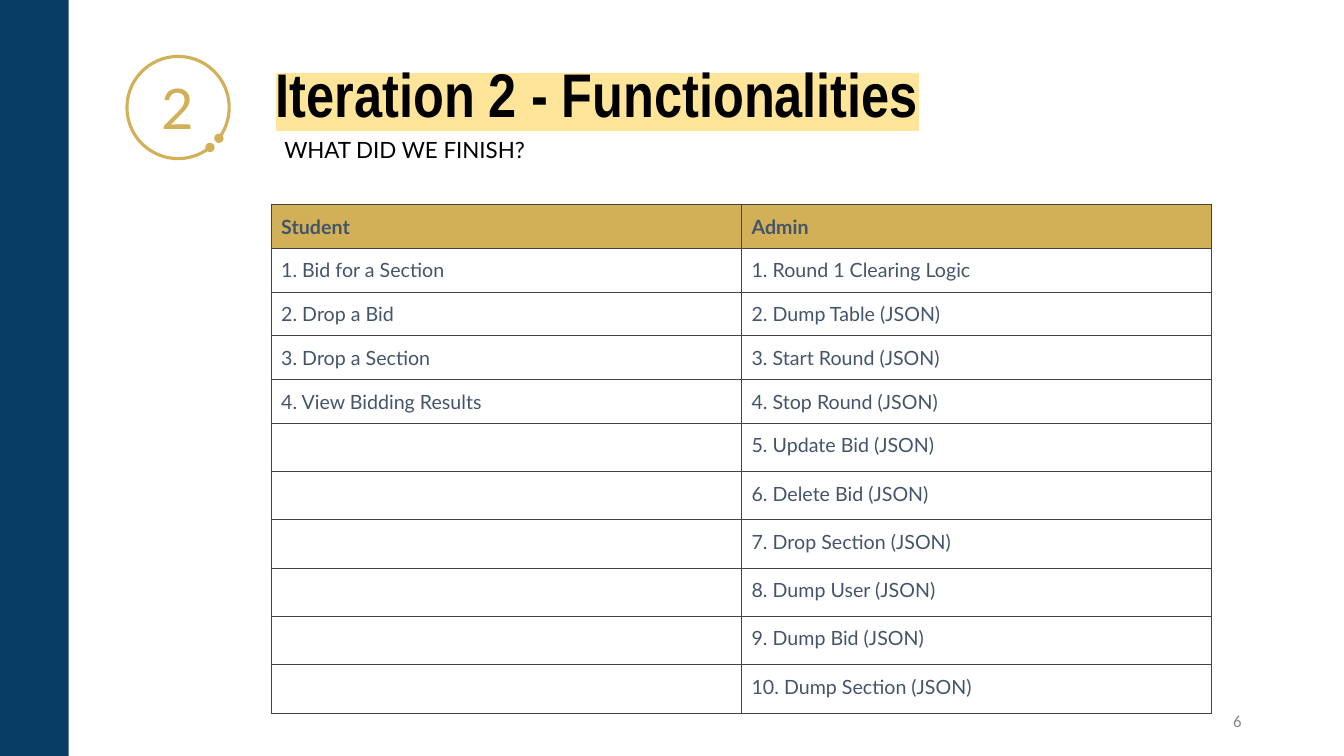
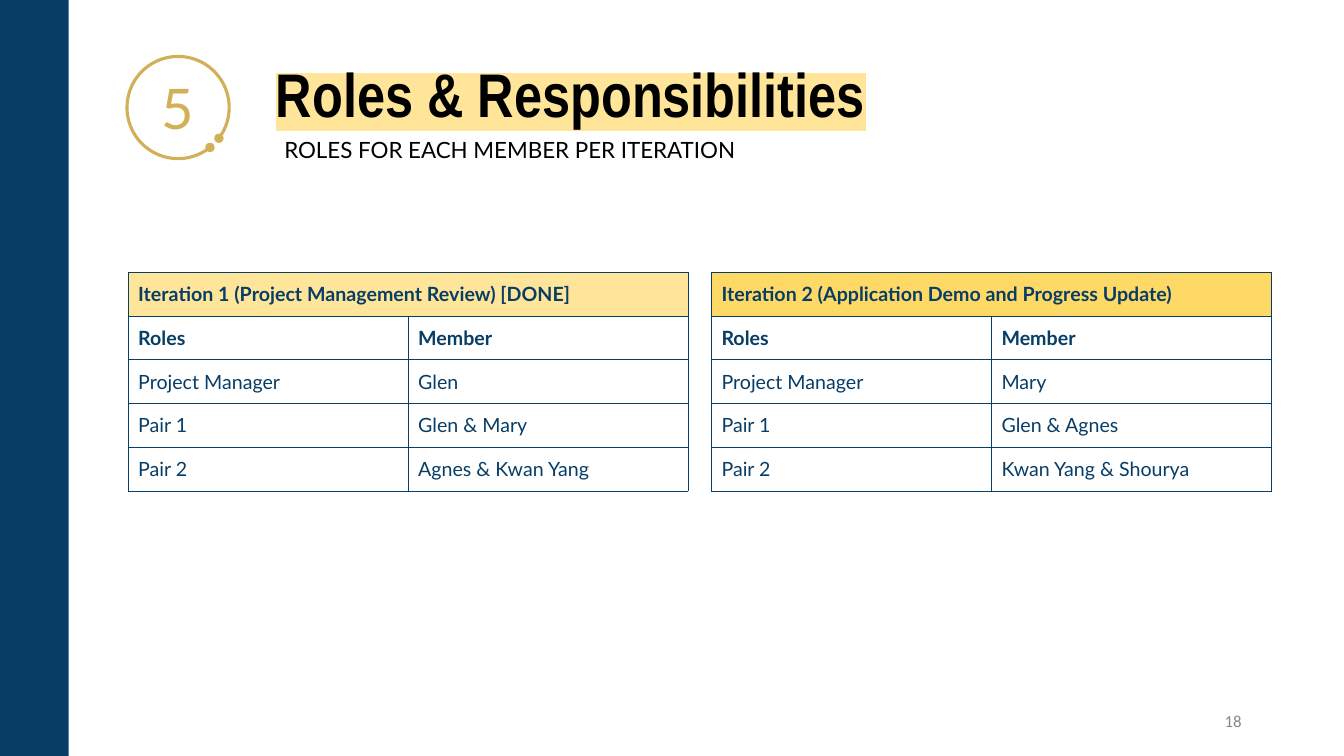
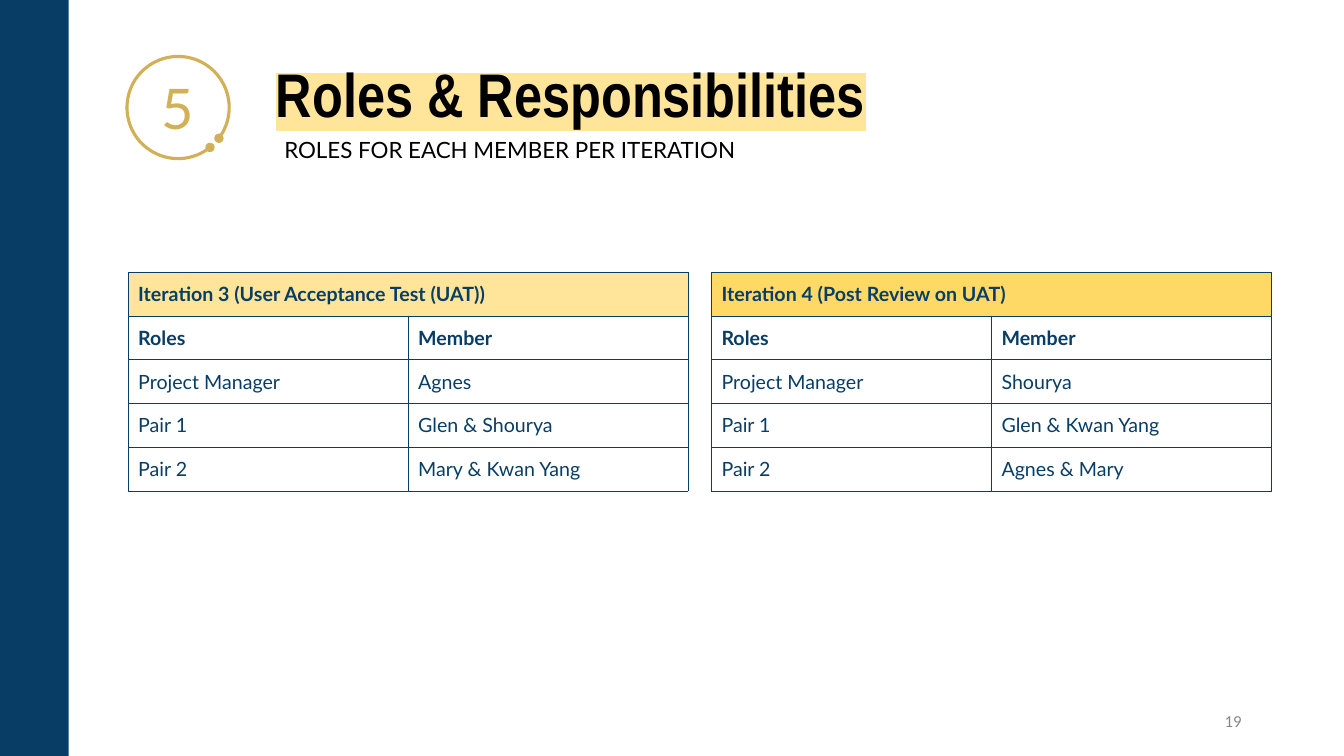
from itertools import zip_longest

from lxml import etree
from pptx import Presentation
from pptx.dml.color import RGBColor
from pptx.enum import shapes, text
from pptx.oxml.ns import qn
from pptx.util import Pt

COLORS = {
    "navy": "083D65", "gold": "D2B057", "highlight": "FFE599", "amber": "FFD966",
    "black": "000000", "gray": "888888", "slate": "44546A", "grid": "434343",
}
ROW_HEIGHT, EMPTY_ROW_HEIGHT = 31.2, 34.5


def write_text(frame, content, size, color, font="Lato", bold=False, highlight=None,
               align=text.PP_ALIGN.LEFT, anchor=text.MSO_ANCHOR.TOP, inset=3.6, spacing=1.0):
    """Fill a text frame or table cell; inset is the top and bottom margin."""
    is_cell = not hasattr(frame, "word_wrap")
    frame.vertical_anchor = anchor
    frame.margin_left = frame.margin_right = Pt(7.2)
    frame.margin_top = frame.margin_bottom = Pt(inset)
    if is_cell:
        frame = frame.text_frame
    frame.word_wrap = True
    paragraph = frame.paragraphs[0]
    paragraph.alignment = align
    paragraph.line_spacing = spacing
    if not content:
        paragraph.font.size = Pt(size)
        return
    run = paragraph.add_run()
    run.text = content
    run.font.size, run.font.bold = Pt(size), bold
    run.font.color.rgb = RGBColor.from_string(COLORS[color])
    if highlight:
        mark = etree.Element(qn("a:highlight"))
        etree.SubElement(mark, qn("a:srgbClr"), val=COLORS[highlight])
        run.font.fill._xPr.find(qn("a:solidFill")).addnext(mark)
    run.font.name = font


def add_grid(slide, rows, left, top, column_width, header_fill, color, border, bold_rows):
    """Add a two-column table; a row with one entry spans both columns."""
    heights = [ROW_HEIGHT if row[0] else EMPTY_ROW_HEIGHT for row in rows]
    table = slide.shapes.add_table(len(rows), 2, Pt(left), Pt(top),
                                   Pt(2 * column_width), Pt(sum(heights))).table
    table.first_row = table.horz_banding = False
    for column in table.columns:
        column.width = Pt(column_width)
    for i, row in enumerate(rows):
        table.rows[i].height = Pt(heights[i])
        for j in range(2):
            cell = table.cell(i, j)
            properties = cell._tc.get_or_add_tcPr()
            for side in ("lnL", "lnR", "lnT", "lnB"):
                line = etree.SubElement(properties, qn(f"a:{side}"), w=str(Pt(0.75)))
                fill = etree.SubElement(line, qn("a:solidFill"))
                etree.SubElement(fill, qn("a:srgbClr"), val=COLORS[border])
            if i == 0:
                cell.fill.solid()
                cell.fill.fore_color.rgb = RGBColor.from_string(COLORS[header_fill])
            else:
                cell.fill.background()
            if j < len(row):
                write_text(cell, row[j], 14, color, bold=i < bold_rows, inset=7.2)
        if len(row) == 1:
            table.cell(i, 0).merge(table.cell(i, 1))


student = ["Student", "1. Bid for a Section", "2. Drop a Bid", "3. Drop a Section",
           "4. View Bidding Results"]
admin = ["Admin", "1. Round 1 Clearing Logic", "2. Dump Table (JSON)", "3. Start Round (JSON)",
         "4. Stop Round (JSON)", "5. Update Bid (JSON)", "6. Delete Bid (JSON)",
         "7. Drop Section (JSON)", "8. Dump User (JSON)", "9. Dump Bid (JSON)",
         "10. Dump Section (JSON)"]
functionalities = list(zip_longest(student, admin, fillvalue=""))

# Each iteration: title, project manager, pair 1, pair 2
first_half = [
    ("Iteration 1 (Project Management Review) [DONE]", "Glen", "Glen & Mary", "Agnes & Kwan Yang"),
    ("Iteration 2 (Application Demo and Progress Update)", "Mary", "Glen & Agnes",
     "Kwan Yang & Shourya"),
]
second_half = [
    ("Iteration 3 (User Acceptance Test (UAT))", "Agnes", "Glen & Shourya", "Mary & Kwan Yang"),
    ("Iteration 4 (Post Review on UAT)", "Shourya", "Glen & Kwan Yang", "Agnes & Mary"),
]
roles = ("Roles & Responsibilities", "ROLES FOR EACH MEMBER PER ITERATION")
pages = [
    ("2", "Iteration 2 - Functionalities", "WHAT DID WE FINISH?", "6", []),
    ("5", *roles, "18", first_half),
    ("5", *roles, "19", second_half),
]

presentation = Presentation()
presentation.slide_width, presentation.slide_height = Pt(960), Pt(540)

for section, title, subtitle, page_number, iterations in pages:
    slide = presentation.slides.add_slide(presentation.slide_layouts[6])

    band = slide.shapes.add_shape(shapes.MSO_SHAPE.RECTANGLE, 0, 0, Pt(49), Pt(540))
    band.shadow.inherit = False
    band.fill.solid()
    band.fill.fore_color.rgb = RGBColor.from_string(COLORS["navy"])
    band.line.fill.background()

    ring = slide.shapes.add_shape(shapes.MSO_SHAPE.ARC, Pt(90.7), Pt(40.3), Pt(73), Pt(73))
    ring.shadow.inherit = False
    ring.adjustments[0], ring.adjustments[1] = 30.83, 22.19
    ring.fill.background()
    ring.line.color.rgb = RGBColor.from_string(COLORS["gold"])
    ring.line.width = Pt(2.25)
    for end in ("headEnd", "tailEnd"):
        etree.SubElement(ring.line._get_or_add_ln(), qn(f"a:{end}"), type="oval")
    write_text(ring.text_frame, section, 40, "gold", align=text.PP_ALIGN.CENTER,
               anchor=text.MSO_ANCHOR.MIDDLE)

    title_box = slide.shapes.add_textbox(Pt(190), Pt(18.7), Pt(680), Pt(78.5))
    write_text(title_box.text_frame, title, 44, "black", font="Arial Narrow", bold=True,
               highlight="highlight", anchor=text.MSO_ANCHOR.BOTTOM, spacing=0.9)
    subtitle_box = slide.shapes.add_textbox(Pt(196), Pt(90), Pt(564), Pt(34))
    write_text(subtitle_box.text_frame, subtitle, 16, "black", inset=7.2)
    number_box = slide.shapes.add_textbox(Pt(678), Pt(500.5), Pt(216), Pt(28.8))
    write_text(number_box.text_frame, page_number, 12, "gray", font="Calibri",
               align=text.PP_ALIGN.RIGHT, anchor=text.MSO_ANCHOR.MIDDLE)

    if not iterations:
        add_grid(slide, functionalities, 193.7, 146.2, 336, "gold", "slate", "grid", 1)
    for i, (name, manager, pair_1, pair_2) in enumerate(iterations):
        rows = [(name,), ("Roles", "Member"), ("Project Manager", manager),
                ("Pair 1", pair_1), ("Pair 2", pair_2)]
        add_grid(slide, rows, 91.5 + i * 416.7, 194.5, 200, ("highlight", "amber")[i],
                 "navy", "navy", 2)

presentation.save("out.pptx")
